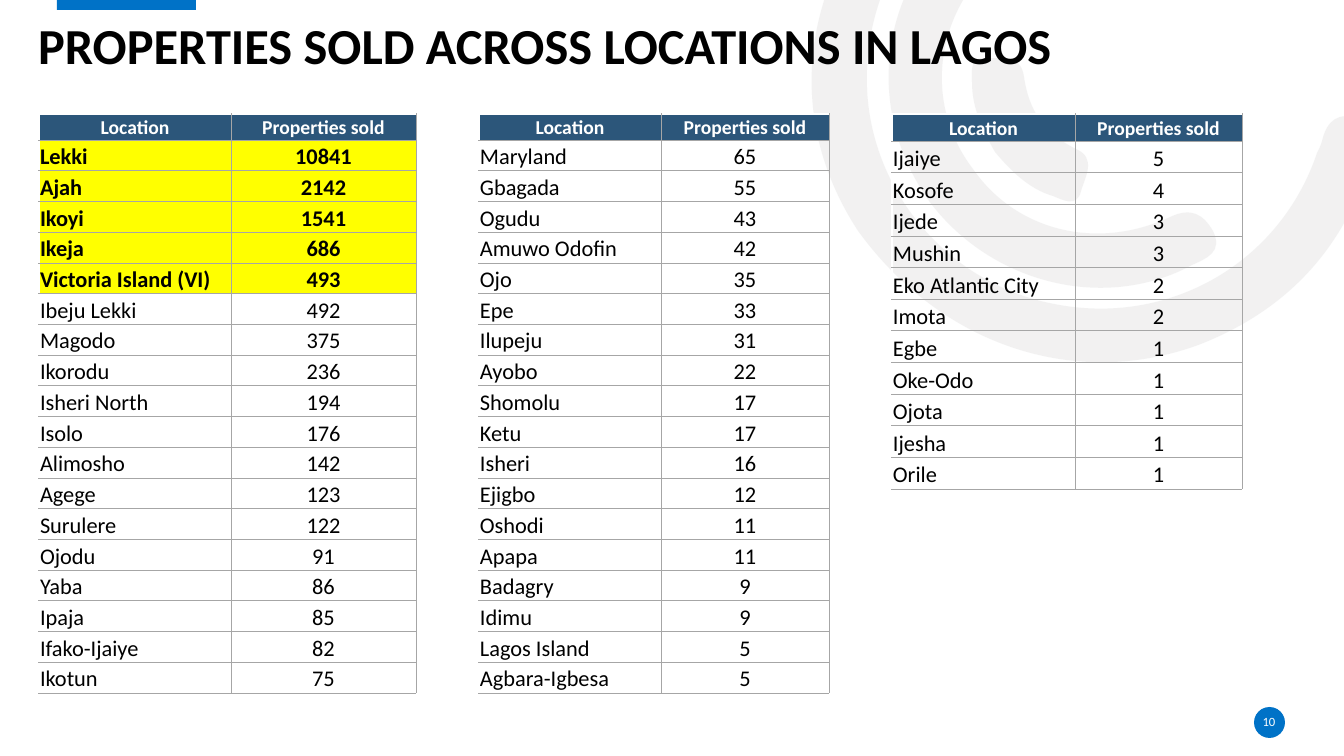
from dataclasses import dataclass
from math import cos, radians, sin

from lxml.etree import SubElement
from pptx import Presentation
from pptx.dml.color import RGBColor
from pptx.enum.shapes import MSO_SHAPE as SHAPE
from pptx.enum.text import MSO_ANCHOR as ANCHOR, PP_ALIGN as ALIGN
from pptx.oxml.ns import qn
from pptx.util import Pt

EMU_PER_PX = 914400 / 100.8


@dataclass(frozen=True)
class Theme:
    font: str = "Calibri"
    title_pt: int = 36
    header_pt: int = 14
    body_pt: int = 16
    page_pt: int = 9
    black: str = "000000"
    white: str = "FFFFFF"
    accent: str = "0072C7"
    header: str = "2C567A"
    highlight: str = "FFFF00"
    grid: str = "A6A6A6"
    swirl: str = "E7E6E6"
    swirl_alpha: int = 53


THEME = Theme()

# Background swirl: frame before turning, then the outline as placed on the
# slide (a start point followed by cubic curves: two controls and an end)
SWIRL_ANGLE = 144.2
SWIRL = [
    ((819, -204, 489, 605), [
        (858, 231),
        (805, 150), (793, 50), (845, -50), (897, -153), (984, -205), (1099, -209),
        (1114, -209), (1130, -212), (1140, -197), (1153, -176), (1136, -155), (1107, -155),
        (975, -155), (872, -59), (867, 69), (862, 182), (943, 283), (1054, 304),
        (1169, 327), (1280, 263), (1317, 153), (1319, 149), (1321, 145), (1322, 141),
        (1327, 120), (1338, 112), (1360, 118), (1384, 125), (1378, 142), (1372, 157),
        (1345, 247), (1289, 309), (1201, 344), (1079, 390), (943, 348), (858, 231)]),
    ((908, -79, 215, 429), [
        (929, 201),
        (869, 116), (876, 7), (948, -69), (959, -80), (970, -96), (988, -79),
        (1003, -65), (1005, -50), (987, -32), (932, 26), (927, 109), (973, 169),
        (1016, 231), (1097, 251), (1170, 217), (1191, 207), (1203, 214), (1213, 231),
        (1223, 252), (1207, 258), (1192, 265), (1105, 312), (991, 284), (929, 201)]),
    ((988, 37, 79, 184), [
        (995, 152),
        (983, 131), (972, 108), (972, 83), (972, 74), (969, 57), (984, 58),
        (1000, 59), (1021, 53), (1024, 77), (1029, 111), (1044, 133), (1076, 149),
        (1097, 158), (1085, 177), (1081, 191), (1077, 208), (1063, 200), (1053, 196),
        (1029, 189), (1011, 171), (995, 152)]),
]

HEADINGS = ("Location", "Properties sold")
TOP_SELLERS = [("Lekki", 10841), ("Ajah", 2142), ("Ikoyi", 1541), ("Ikeja", 686),
               ("Victoria Island (VI)", 493)]
LEFT_SALES = TOP_SELLERS + [
    ("Ibeju Lekki", 492), ("Magodo", 375), ("Ikorodu", 236), ("Isheri North", 194),
    ("Isolo", 176), ("Alimosho", 142), ("Agege", 123), ("Surulere", 122), ("Ojodu", 91),
    ("Yaba", 86), ("Ipaja", 85), ("Ifako-Ijaiye", 82), ("Ikotun", 75)]
MIDDLE_SALES = [
    ("Maryland", 65), ("Gbagada", 55), ("Ogudu", 43), ("Amuwo Odofin", 42), ("Ojo", 35),
    ("Epe", 33), ("Ilupeju", 31), ("Ayobo", 22), ("Shomolu", 17), ("Ketu", 17),
    ("Isheri", 16), ("Ejigbo", 12), ("Oshodi", 11), ("Apapa", 11), ("Badagry", 9),
    ("Idimu", 9), ("Lagos Island", 5), ("Agbara-Igbesa", 5)]
RIGHT_SALES = [
    ("Ijaiye", 5), ("Kosofe", 4), ("Ijede", 3), ("Mushin", 3), ("Eko Atlantic City", 2),
    ("Imota", 2), ("Egbe", 1), ("Oke-Odo", 1), ("Ojota", 1), ("Ijesha", 1), ("Orile", 1)]


def px(n):
    return round(n * EMU_PER_PX)


def box(*lengths):
    return [px(n) for n in lengths]


def set_margins(item, left=0, top=0, right=0, bottom=0):
    item.margin_left, item.margin_top = px(left), px(top)
    item.margin_right, item.margin_bottom = px(right), px(bottom)


def format_text(p, size, color, bold=False, align=ALIGN.LEFT):
    p.alignment = align
    for r in p.runs:
        r.font.name, r.font.size, r.font.bold = THEME.font, Pt(size), bold
        r.font.color.rgb = RGBColor.from_string(color)


def paint(sp, color):
    sp.shadow.inherit = False
    sp.fill.solid()
    sp.fill.fore_color.rgb = RGBColor.from_string(color)
    sp.line.fill.background()


def add_shape(slide, kind, x, y, w, h, color):
    paint(slide.shapes.add_shape(kind, *box(x, y, w, h)), color)


def add_swirl(slide, frame, points):
    """Fill a turned frame with one translucent outline of cubic curves."""
    x, y, w, h = frame
    builder = slide.shapes.build_freeform(px(x), px(y), scale=1.0)
    corners = [(x + w, y), (x + w, y + h), (x, y + h)]
    builder.add_line_segments([box(*corner) for corner in corners], close=True)
    sp = builder.convert_to_shape()
    paint(sp, THEME.swirl)
    color = sp.element.spPr.find(qn("a:solidFill"))[0]
    SubElement(color, qn("a:alpha"), val=str(THEME.swirl_alpha * 1000))

    # Replace the straight sides with the curves, turned back into the frame
    outline = next(sp.element.iter(qn("a:path")))
    for side in list(outline):
        outline.remove(side)
    c, s = cos(radians(SWIRL_ANGLE)), sin(radians(SWIRL_ANGLE))
    for i, (point_x, point_y) in enumerate(points):
        if i % 3 == 1 or i == 0:
            part = SubElement(outline, qn("a:cubicBezTo" if i else "a:moveTo"))
        dx, dy = point_x - x - w / 2, point_y - y - h / 2
        SubElement(part, qn("a:pt"), x=str(px(w / 2 + dx * c + dy * s)),
                   y=str(px(h / 2 - dx * s + dy * c)))
    SubElement(outline, qn("a:close"))
    sp.rotation = SWIRL_ANGLE


def set_title(slide, text, x, y, w, h):
    title = slide.shapes.title
    title.left, title.top, title.width, title.height = box(x, y, w, h)
    tf = title.text_frame
    tf.text, tf.word_wrap, tf.vertical_anchor = text, True, ANCHOR.BOTTOM
    set_margins(tf)
    tf.paragraphs[0].line_spacing = 0.9
    format_text(tf.paragraphs[0], THEME.title_pt, THEME.black, bold=True)
    # Bring the title in front of the background
    title.element.getparent().append(title.element)


def add_page_number(slide, text, x, y, w, h):
    tf = slide.shapes.add_textbox(*box(x, y, w, h)).text_frame
    tf.text, tf.word_wrap, tf.vertical_anchor = text, True, ANCHOR.MIDDLE
    set_margins(tf)
    format_text(tf.paragraphs[0], THEME.page_pt, THEME.white, align=ALIGN.CENTER)


def set_borders(cell, white_sides):
    tcPr = cell._tc.get_or_add_tcPr()
    for side in "LRTB":
        color, width = (THEME.white, 1) if side in white_sides else (THEME.grid, 0.5)
        ln = SubElement(tcPr, qn(f"a:ln{side}"), w=str(Pt(width)))
        SubElement(SubElement(ln, qn("a:solidFill")), qn("a:srgbClr"), val=color)


def format_cell(cell, text, row, col, highlighted):
    header = row == 0
    cell.text, cell.vertical_anchor = text, ANCHOR.BOTTOM
    set_margins(cell, 1, 1, 1)
    set_borders(cell, "L" * (col == 0) + "T" * header)
    if header or highlighted:
        cell.fill.solid()
        color = THEME.header if header else THEME.highlight
        cell.fill.fore_color.rgb = RGBColor.from_string(color)
    else:
        cell.fill.background()
    format_text(cell.text_frame.paragraphs[0],
                THEME.header_pt if header else THEME.body_pt,
                THEME.white if header else THEME.black,
                bold=header or highlighted,
                align=ALIGN.CENTER if header or col else ALIGN.LEFT)


def add_sales_table(slide, sales, x, y, widths, header_h, total_h, highlights=0):
    rows = [HEADINGS] + sales
    table = slide.shapes.add_table(len(rows), 2, *box(x, y, sum(widths), total_h)).table
    table.horz_banding = False
    for column, width in zip(table.columns, widths):
        column.width = px(width)
    row_h = (total_h - header_h) / len(sales)
    for i, values in enumerate(rows):
        table.rows[i].height = px(row_h if i else header_h)
        for j, value in enumerate(values):
            format_cell(table.cell(i, j), str(value), i, j, 0 < i <= highlights)


def main():
    prs = Presentation()
    prs.slide_width, prs.slide_height = box(1344, 756)
    slide = prs.slides.add_slide(prs.slide_layouts[5])

    # Background and accents
    for frame, points in SWIRL:
        add_swirl(slide, frame, points)
    add_shape(slide, SHAPE.RECTANGLE, 57, -2, 139, 12, THEME.accent)
    add_shape(slide, SHAPE.OVAL, 1254, 707, 31, 31, THEME.accent)

    # Title, page number and white footer panel
    set_title(slide, "PROPERTIES SOLD ACROSS LOCATIONS IN LAGOS", 38, -27, 1229, 102)
    add_page_number(slide, "10", 1253, 712, 32, 20)
    add_shape(slide, SHAPE.RECTANGLE, 26, 694, 473, 62, THEME.white)

    # Sales by location, highest first
    add_sales_table(slide, LEFT_SALES, 39, 114, (192, 185), 26, 579, len(TOP_SELLERS))
    add_sales_table(slide, MIDDLE_SALES, 479, 114, (182, 168), 26, 579)
    add_sales_table(slide, RIGHT_SALES, 892, 114, (183, 167), 27, 375)

    prs.save("out.pptx")


if __name__ == "__main__":
    main()
